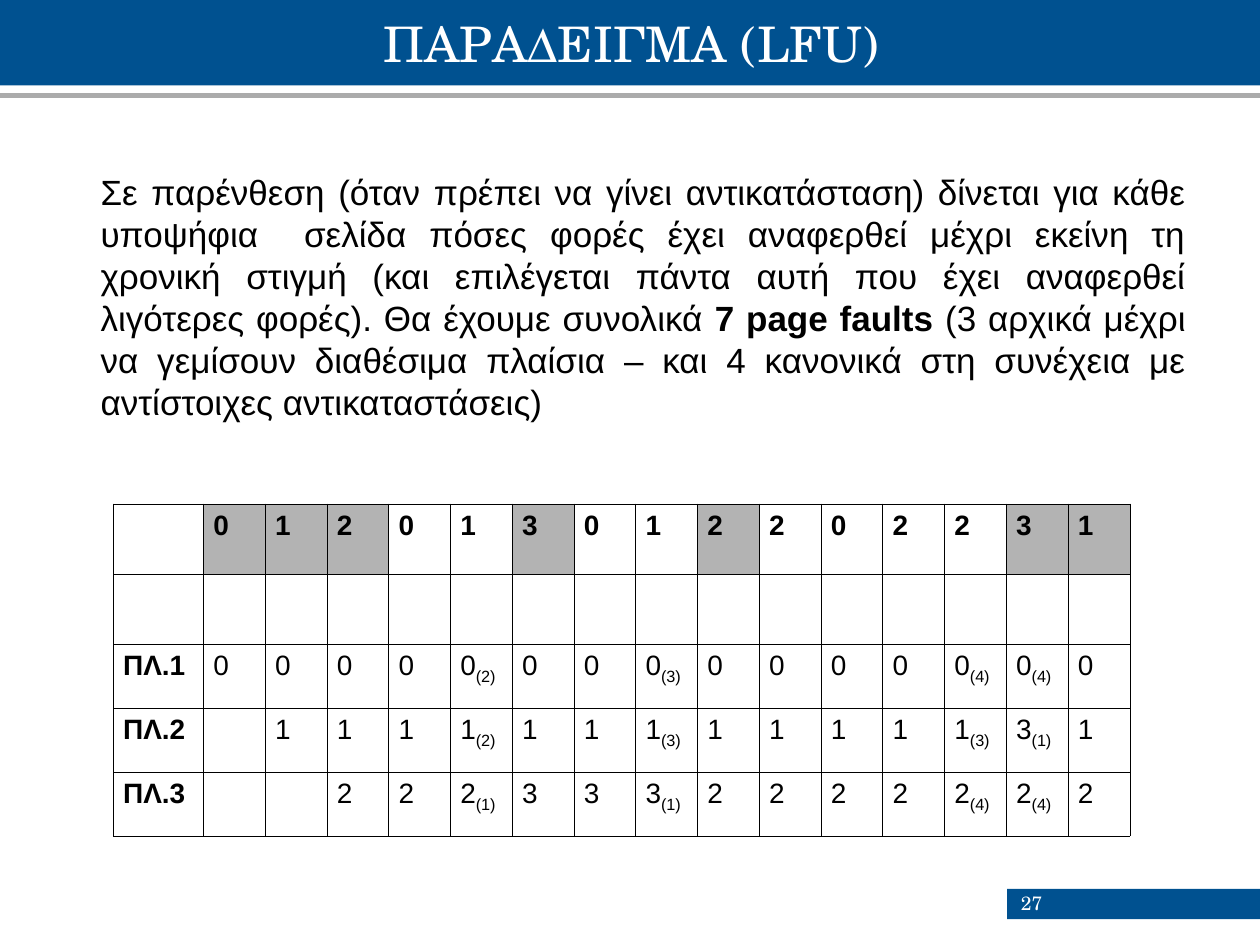
from lxml import etree
from pptx import Presentation
from pptx.dml.color import RGBColor
from pptx.enum.shapes import MSO_CONNECTOR, MSO_SHAPE
from pptx.enum.text import MSO_ANCHOR, PP_ALIGN
from pptx.oxml.ns import qn
from pptx.util import Pt

RECTANGLE = MSO_SHAPE.RECTANGLE
STRAIGHT = MSO_CONNECTOR.STRAIGHT
TOP, MIDDLE = MSO_ANCHOR.TOP, MSO_ANCHOR.MIDDLE
CENTER, RIGHT, JUSTIFY = PP_ALIGN.CENTER, PP_ALIGN.RIGHT, PP_ALIGN.JUSTIFY

BLUE = RGBColor(0x00, 0x51, 0x90)
RULE_GRAY = RGBColor(0xAB, 0xAB, 0xAB)
FAULT_GRAY = RGBColor(0xB3, 0xB3, 0xB3)
WHITE = RGBColor(0xFF, 0xFF, 0xFF)
BLACK = RGBColor(0x00, 0x00, 0x00)

HEADING_FONT = "TeX Gyre Schola"
BODY_FONT = "Arial"

WIDTH, HEIGHT = 720, 540
LABEL_WIDTH, STEP_WIDTH = 51.5, 35.3
ROW_HEIGHTS = [40, 40, 36.6, 36.6, 36.6]

# Page references, then the content of each frame; "(n)" is a use count
REFERENCES = "0 1 2 0 1 3 0 1 2 2 0 2 2 3 1".split()
FAULT_STEPS = {1, 2, 3, 6, 9, 14, 15}
FRAMES = {
    "ΠΛ.1": "0 0 0 0 0(2) 0 0 0(3) 0 0 0 0 0(4) 0(4) 0",
    "ΠΛ.2": "1 1 1 1(2) 1 1 1(3) 1 1 1 1 1(3) 3(1) 1",
    "ΠΛ.3": "2 2 2(1) 3 3 3(1) 2 2 2 2 2(4) 2(4) 2",
}


class SlideBuilder:
    def __init__(self, slide):
        self.slide = slide

    def add_run(self, paragraph, text, font, size, color, bold=False, subscript=False):
        run = paragraph.add_run()
        run.text = text
        run.font.name = font
        run.font.size = Pt(size)
        run.font.color.rgb = color
        run.font.bold = bold
        if subscript:
            run.font._element.set("baseline", "-25000")

    def add_bar(self, left, top, width, height):
        shape = self.slide.shapes.add_shape(
            RECTANGLE, Pt(left), Pt(top), Pt(width), Pt(height))
        shape.shadow.inherit = False
        shape.fill.solid()
        shape.fill.fore_color.rgb = BLUE
        shape.line.fill.background()

    def add_rule(self, y, weight):
        connector = self.slide.shapes.add_connector(
            STRAIGHT, Pt(0), Pt(y), Pt(WIDTH), Pt(y))
        connector.line.color.rgb = RULE_GRAY
        connector.line.width = Pt(weight)
        etree.SubElement(connector._element.spPr, qn("a:effectLst"))

    def add_text(self, left, top, width, height, pieces, font, size, color,
                 alignment, anchor=TOP):
        box = self.slide.shapes.add_textbox(Pt(left), Pt(top), Pt(width), Pt(height))
        frame = box.text_frame
        frame.word_wrap = True
        frame.vertical_anchor = anchor
        paragraph = frame.paragraphs[0]
        paragraph.alignment = alignment
        for text, bold in pieces:
            self.add_run(paragraph, text, font, size, color, bold)

    def style_cell(self, cell, fill=None):
        cell.margin_left = cell.margin_right = Pt(5.6)
        cell.margin_top = cell.margin_bottom = Pt(3.6)
        properties = cell._tc.get_or_add_tcPr()
        for side in ("a:lnL", "a:lnR", "a:lnT", "a:lnB"):
            border = etree.SubElement(properties, qn(side), w=str(Pt(0.45)))
            solid = etree.SubElement(border, qn("a:solidFill"))
            etree.SubElement(solid, qn("a:srgbClr"), val=str(BLACK))
        if fill is None:
            cell.fill.background()
        else:
            cell.fill.solid()
            cell.fill.fore_color.rgb = fill

    def add_frame_table(self, left, top, rows):
        widths = [LABEL_WIDTH] + [STEP_WIDTH] * len(REFERENCES)
        table = self.slide.shapes.add_table(
            len(rows), len(widths), Pt(left), Pt(top),
            Pt(sum(widths)), Pt(sum(ROW_HEIGHTS))).table
        table.first_row = table.horz_banding = False
        for column, width in zip(table.columns, widths):
            column.width = Pt(width)
        for r, values in enumerate(rows):
            table.rows[r].height = Pt(ROW_HEIGHTS[r])
            for c, value in enumerate(values):
                cell = table.cell(r, c)
                self.style_cell(cell, FAULT_GRAY if r == 0 and c in FAULT_STEPS else None)
                if not value:
                    continue
                paragraph = cell.text_frame.paragraphs[0]
                paragraph.alignment = JUSTIFY
                paragraph.space_after = Pt(6)
                page, bracket, count = value.partition("(")
                self.add_run(paragraph, page, BODY_FONT, 16, BLACK, bold=r == 0 or c == 0)
                if bracket:
                    self.add_run(paragraph, bracket + count, BODY_FONT, 16, BLACK,
                                 subscript=True)


def main():
    presentation = Presentation()
    presentation.slide_width, presentation.slide_height = Pt(WIDTH), Pt(HEIGHT)
    builder = SlideBuilder(presentation.slides.add_slide(presentation.slide_layouts[6]))

    # Header, rule and page number
    builder.add_bar(575.5, 508, 144.5, 17.2)
    builder.add_bar(0, 0, WIDTH, 48.8)
    builder.add_rule(54.6, 3.25)
    builder.add_text(548, 506, 54.7, 21.6, [("27", False)], HEADING_FONT, 11, WHITE, RIGHT)
    builder.add_text(36.7, 0, 648, 48.8, [("ΠΑΡΑΔΕΙΓΜΑ (LFU)", False)],
                     HEADING_FONT, 28, WHITE, CENTER, MIDDLE)

    # Reference string and frame contents over time
    steps = len(REFERENCES)
    rows = [[""] + REFERENCES, [""] * (steps + 1)]
    for label, contents in FRAMES.items():
        pages = contents.split()
        rows.append([label] + [""] * (steps - len(pages)) + pages)
    builder.add_frame_table(64.8, 288, rows)

    # Explanation
    builder.add_text(50.4, 93.8, 634.3, 151.2, [
        ("Σε παρένθεση (όταν πρέπει να γίνει αντικατάσταση) δίνεται για κάθε "
         "υποψήφια  σελίδα πόσες φορές έχει αναφερθεί μέχρι εκείνη τη χρονική "
         "στιγμή (και επιλέγεται πάντα αυτή που έχει αναφερθεί λιγότερες φορές). "
         "Θα έχουμε συνολικά ", False),
        ("7 page faults", True),
        (" (3 αρχικά μέχρι να γεμίσουν διαθέσιμα πλαίσια – και 4 κανονικά στη "
         "συνέχεια με αντίστοιχες αντικαταστάσεις)", False),
    ], BODY_FONT, 20, BLACK, JUSTIFY, MIDDLE)

    presentation.save("out.pptx")


if __name__ == "__main__":
    main()
